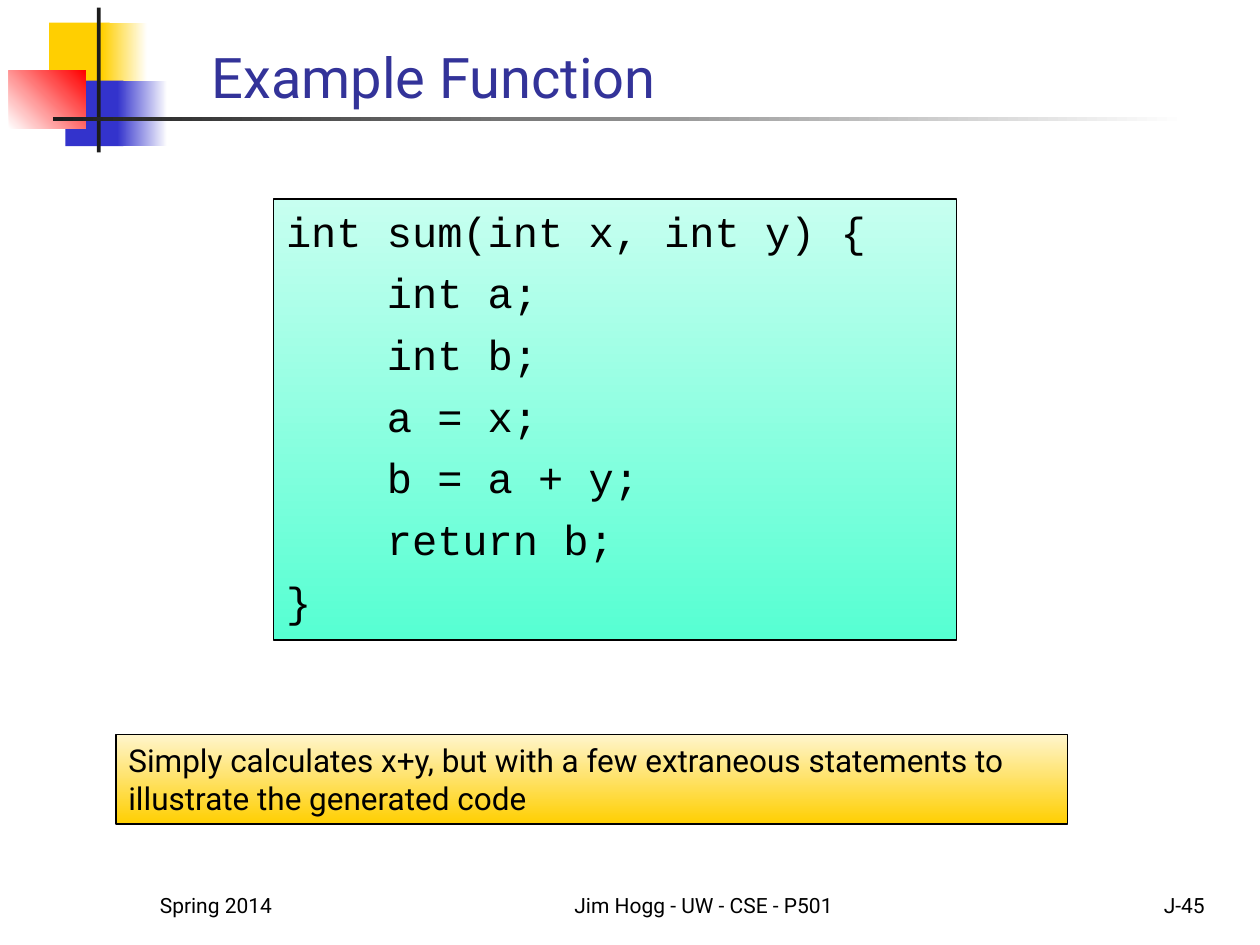
from lxml import etree
from pptx import Presentation
from pptx.dml.color import RGBColor
from pptx.enum.shapes import MSO_SHAPE
from pptx.enum.text import MSO_ANCHOR, MSO_AUTO_SIZE, PP_ALIGN
from pptx.oxml.ns import qn
from pptx.util import Inches, Pt

RECTANGLE = MSO_SHAPE.RECTANGLE
TOP, BOTTOM = MSO_ANCHOR.TOP, MSO_ANCHOR.BOTTOM
LEFT, CENTER, RIGHT = PP_ALIGN.LEFT, PP_ALIGN.CENTER, PP_ALIGN.RIGHT
NO_AUTOFIT = MSO_AUTO_SIZE.NONE

THEME = {
    "text_font": "Roboto", "code_font": "Courier New",
    "title_size": 32, "code_size": 24, "note_size": 18, "footer_size": 12,
    "title": "333399", "text": "000000", "border": "000000",
    "yellow": "FFCF01", "blue": "3333CC", "red": "FF0000",
    "dark": "1C1C1C", "white": "FFFFFF",
    "code_top": "C7FFF0", "code_bottom": "56FFD2", "note_top": "FFF5CC",
}

# Content
TITLE = "Example Function"
CODE = [
    "int sum(int x, int y) {",
    "    int a;",
    "    int b;",
    "    a = x;",
    "    b = a + y;",
    "    return b;",
    "}",
]
NOTE = ("Simply calculates x+y, but with a few extraneous statements to "
        "illustrate the generated code")
FOOTERS = [  # text, left, width, alignment
    ("Spring 2014", 1.17, 2.08, LEFT),
    ("Jim Hogg - UW - CSE - P501", 4, 3.17, CENTER),
    ("J-45", 7.58, 2.08, RIGHT),
]
DECORATIONS = [  # box, colours, clockwise gradient angle
    ((0.39, 0.18, 0.48, 0.52), ["yellow"], 0),
    ((0.81, 0.18, 0.36, 0.52), ["yellow", "white"], 0),
    ((0.52, 0.64, 0.46, 0.52), ["blue"], 0),
    ((0.93, 0.64, 0.4, 0.52), ["blue", "white"], 0),
    ((0.07, 0.56, 0.61, 0.46), ["white", "red"], 315),
    ((0.77, 0.06, 0.03, 1.15), ["dark"], 0),
    ((0.42, 0.93, 9, 0.03), ["dark", "white"], 0),
]


def color(name):
    return RGBColor.from_string(THEME[name])


def place(shape, box):
    shape.left, shape.top, shape.width, shape.height = map(Inches, box)


def paint(shape, colors, angle=90):
    if len(colors) == 1:
        shape.fill.solid()
        shape.fill.fore_color.rgb = color(colors[0])
        return
    shape.fill.gradient()
    shape.fill.gradient_angle = (360 - angle) % 360
    for stop, name in zip(shape.fill.gradient_stops, colors):
        stop.color.rgb = color(name)


def outline(shape):
    shape.line.color.rgb = color("border")
    shape.line.width = Pt(0.75)


def add_rectangle(slide, box, colors, angle=90):
    shape = slide.shapes.add_shape(RECTANGLE, *map(Inches, box))
    shape.shadow.inherit = False
    paint(shape, colors, angle)
    shape.line.fill.background()
    return shape


def write(shape, lines, size, anchor, alignment=LEFT, font="text_font", ink="text"):
    frame = shape.text_frame
    frame.word_wrap = True
    frame.auto_size = NO_AUTOFIT
    frame.vertical_anchor = anchor
    frame.text = "\n".join(lines)
    for paragraph in frame.paragraphs:
        paragraph.alignment = alignment
        paragraph.font.name = THEME[font]
        paragraph.font.size = Pt(THEME[size])
        paragraph.font.color.rgb = color(ink)


def format_code(paragraphs):
    for index, paragraph in enumerate(paragraphs):
        paragraph.space_before = Pt(6.4 if index else 0)
        properties = paragraph._p.get_or_add_pPr()
        properties.set("marL", str(Inches(0.38)))
        properties.set("indent", str(-Inches(0.38)))
        bullet = etree.Element(qn("a:buNone"))
        properties.find(qn("a:defRPr")).addprevious(bullet)


def main():
    presentation = Presentation()
    presentation.slide_width, presentation.slide_height = Inches(10), Inches(7.5)
    slide = presentation.slides.add_slide(presentation.slide_layouts[1])

    # Corner squares and title rule
    for box, colors, angle in DECORATIONS:
        add_rectangle(slide, box, colors, angle)

    # Footer
    for text, left, width, alignment in FOOTERS:
        footer = slide.shapes.add_textbox(*map(Inches, (left, 6.83, width, 0.5)))
        write(footer, [text], "footer_size", BOTTOM, alignment)

    # Title
    title = slide.shapes.title
    place(title, (1.58, 0.32, 8.08, 0.6))
    write(title, [TITLE], "title_size", BOTTOM, ink="title")

    # Code listing
    code = slide.placeholders[1]
    place(code, (2.17, 1.58, 5.42, 3.5))
    paint(code, ["code_top", "code_bottom"])
    outline(code)
    write(code, CODE, "code_size", TOP, font="code_font")
    format_code(code.text_frame.paragraphs)

    # Explanation
    note = add_rectangle(slide, (0.92, 5.83, 7.55, 0.71), ["note_top", "yellow"])
    outline(note)
    write(note, [NOTE], "note_size", TOP)

    presentation.save("out.pptx")


if __name__ == "__main__":
    main()
